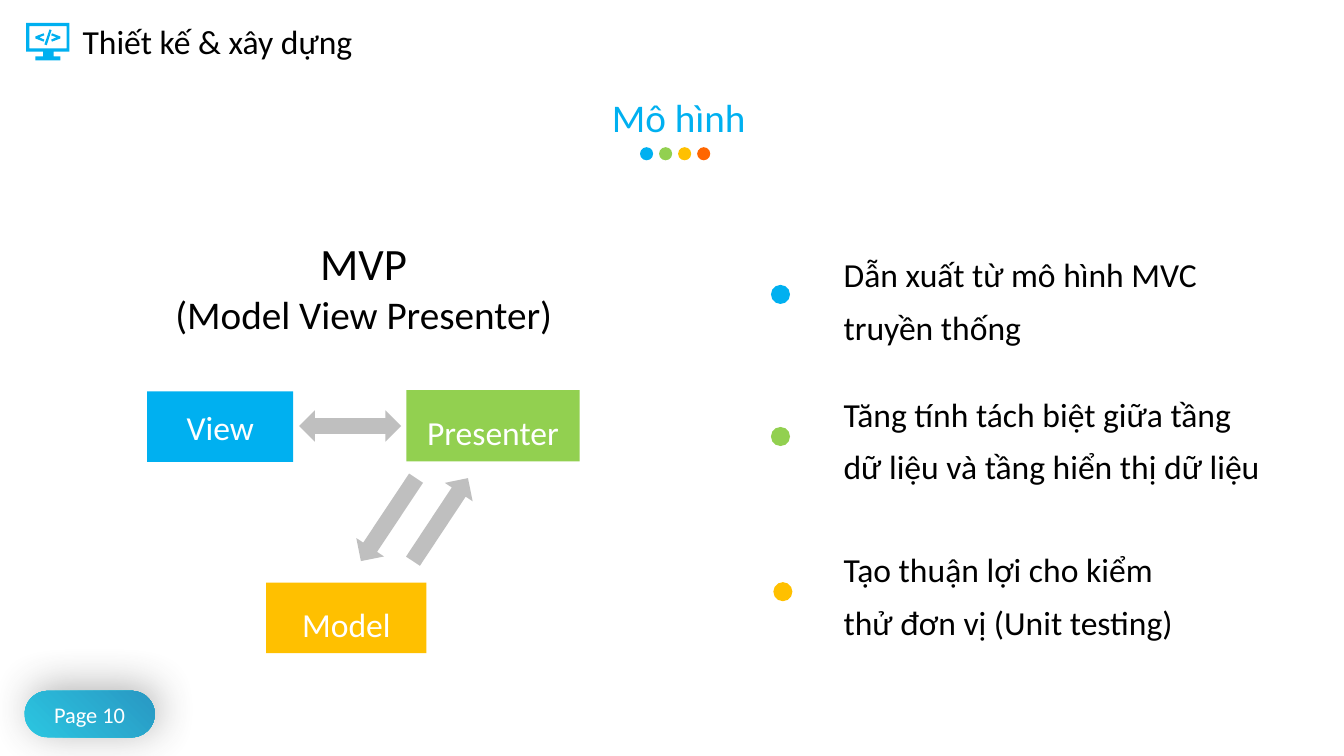
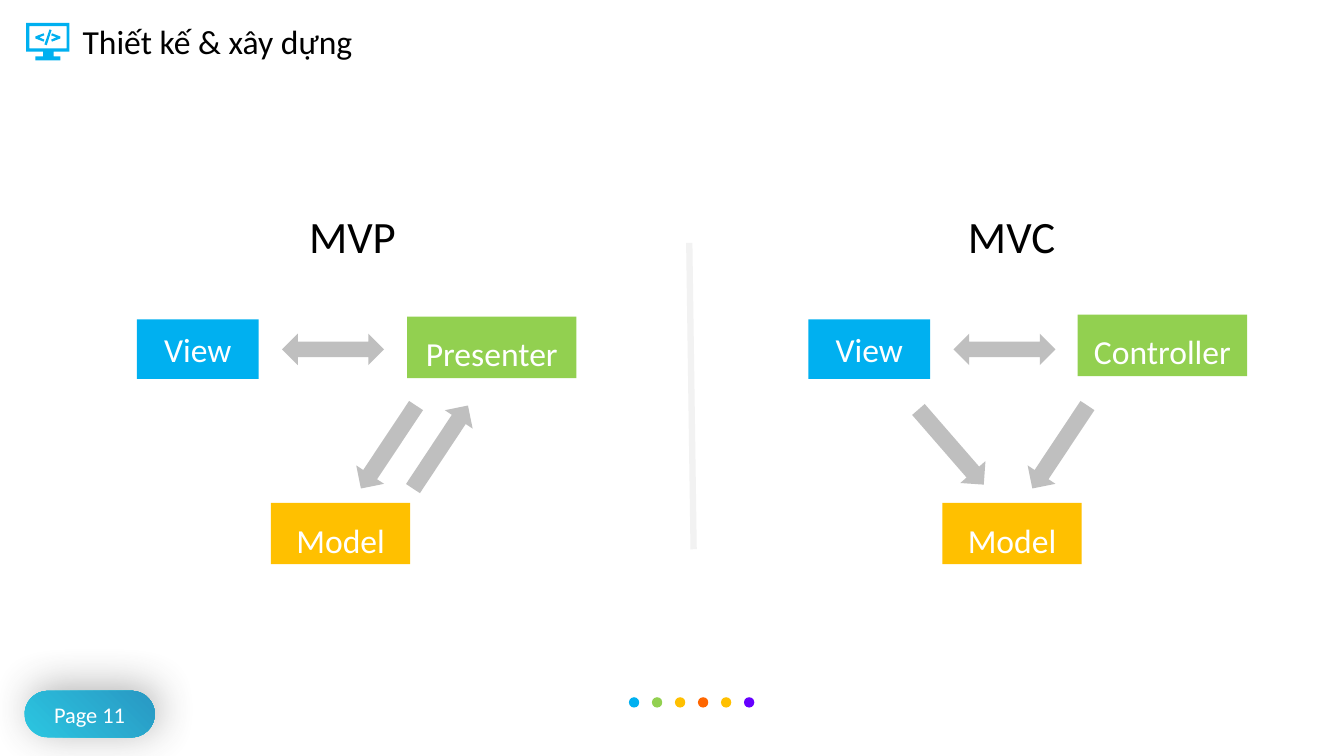
"""Build two slides on the MVP model and its comparison with MVC."""
from lxml.etree import SubElement
from pptx import Presentation
from pptx.dml.color import RGBColor
from pptx.enum.shapes import MSO_CONNECTOR, MSO_SHAPE
from pptx.enum.text import MSO_ANCHOR, MSO_AUTO_SIZE, PP_ALIGN
from pptx.oxml.ns import qn
from pptx.util import Cm, Pt

COLORS = {
    "blue": "00B0F0", "green": "92D050", "yellow": "FFC000", "orange": "FF6600",
    "purple": "6600FF", "arrow": "BFBFBF", "divider": "F2F2F2", "black": "000000",
    "white": "FFFFFF", "badge_start": "2BC6E1", "badge_end": "2998C3", "shadow": "404040",
}
RGB = {name: RGBColor.from_string(value) for name, value in COLORS.items()}
FONT = "Calibri"
PANEL_STEP = 16.92


def write(sp, lines, color="black", align=PP_ALIGN.CENTER, spacing=1.0, inset=0.0,
          anchor=MSO_ANCHOR.MIDDLE):
    """Fill a shape with (text, size) paragraphs."""
    tf = sp.text_frame
    tf.word_wrap = True
    tf.auto_size = MSO_AUTO_SIZE.NONE
    tf.vertical_anchor = anchor
    tf.margin_left = tf.margin_right = tf.margin_top = tf.margin_bottom = Cm(inset)
    tf.text = "\n".join(text for text, size in lines)
    for p, (text, size) in zip(tf.paragraphs, lines):
        p.alignment = align
        p.line_spacing = spacing
        p.space_before = p.space_after = Pt(0)
        for r in p.runs:
            r.font.name = FONT
            r.font.size = Pt(size)
            r.font.color.rgb = RGB[color]


def add_block(s, kind, box, color, rotation=0):
    """Add a flat preset shape placed in centimetres."""
    sp = s.shapes.add_shape(kind, *[Cm(v) for v in box])
    sp.shadow.inherit = False
    sp.fill.solid()
    sp.fill.fore_color.rgb = RGB[color]
    sp.line.fill.background()
    sp.rotation = rotation
    return sp


prs = Presentation()
prs.slide_width, prs.slide_height = Cm(33.87), Cm(19.05)
model_slide = prs.slides.add_slide(prs.slide_layouts[1])
compare_slide = prs.slides.add_slide(prs.slide_layouts[5])

icon_contours = [
    [(66, 58), (175, 58), (175, 130), (135, 130), (135, 142), (152, 142),
     (152, 152), (89, 152), (89, 142), (109, 142), (109, 130), (66, 130)],
    [(74, 66), (74, 122), (168, 122), (168, 66)],
    [(125, 74), (130, 76), (118, 114), (112, 112)],
]
chevron = [(110, 84), (89, 92), (89, 97), (110, 105), (112, 100), (99, 94), (112, 89)]
icon_contours += [chevron, [(241 - x, y) for x, y in chevron]]

for s, page in ((model_slide, 10), (compare_slide, 11)):
    title = s.shapes.title
    title.left, title.top, title.width, title.height = Cm(2.08), Cm(0.43), Cm(7.2), Cm(1.12)
    write(title, [("Thiết kế & xây dựng", 24)], align=PP_ALIGN.LEFT, spacing=1.1)

    builder = s.shapes.build_freeform(*icon_contours[0][0], scale=Cm(0.01))
    builder.add_line_segments(icon_contours[0][1:])
    for contour in icon_contours[1:]:
        builder.move_to(*contour[0])
        builder.add_line_segments(contour[1:])
    icon = builder.convert_to_shape()
    icon.shadow.inherit = False
    icon.fill.solid()
    icon.fill.fore_color.rgb = RGB["blue"]
    icon.line.fill.background()

    badge = add_block(s, MSO_SHAPE.ROUNDED_RECTANGLE, (0.62, 17.41, 3.28, 1.17), "badge_start")
    badge.adjustments[0] = 0.5
    badge.fill.gradient()
    badge.fill.gradient_angle = 45
    for stop, name in zip(badge.fill.gradient_stops, ("badge_start", "badge_end")):
        stop.color.rgb = RGB[name]
    effects = badge.element.spPr.find(qn("a:effectLst"))
    shadow = SubElement(effects, qn("a:outerShdw"), blurRad=str(Pt(30)), dist=str(Pt(5)),
                        dir=str(315 * 60000), algn="ctr", rotWithShape="0")
    shade = SubElement(shadow, qn("a:srgbClr"), val=COLORS["shadow"])
    SubElement(shade, qn("a:alpha"), val="40000")
    write(badge, [(f"Page {page}", 16)], "white")

headings = [
    (model_slide, (3.73, 5.82, 10.87, 2.82), [("MVP", 32), ("(Model View Presenter)", 28)]),
    (compare_slide, (6.83, 5.13, 4.11, 1.63), [("MVP", 32)]),
    (compare_slide, (23.44, 5.13, 4.11, 1.63), [("MVC", 32)]),
]
for s, box, lines in headings:
    heading = s.shapes.add_textbox(*[Cm(v) for v in box])
    write(heading, lines, inset=0.13, anchor=MSO_ANCHOR.TOP)

down, up, view_down = (9.37, 33.6), (10.68, 213.5), (6.63, 319)
diagrams = [
    (model_slide, 0, "Presenter", (3.71, 9.86, 3.68, 1.78), (10.24, 9.83, 4.37, 1.8),
     (6.71, 14.68, 4.04, 1.78), (7.54, 10.34), 11.84, (down, up)),
    (compare_slide, 0, "Presenter", (3.45, 8.05, 3.07, 1.5), (10.26, 7.98, 4.27, 1.55),
     (6.83, 12.67, 3.51, 1.55), (7.11, 8.41), 10.01, (down, up)),
    (compare_slide, PANEL_STEP, "Controller", (3.45, 8.05, 3.07, 1.5),
     (10.24, 7.93, 4.27, 1.55), (6.83, 12.67, 3.51, 1.55), (7.11, 8.41), 10.01,
     (down, view_down)),
]
for s, dx, middle, view, logic, model, link, arrow_top, arrows in diagrams:
    for text, color, (x, y, w, h), spacing in (("View", "blue", view, 1.0),
                                               (middle, "green", logic, 1.3),
                                               ("Model", "yellow", model, 1.3)):
        sp = add_block(s, MSO_SHAPE.RECTANGLE, (x + dx, y, w, h), color)
        write(sp, [(text, 24)], "white", spacing=spacing, inset=0.13)
    add_block(s, MSO_SHAPE.LEFT_RIGHT_ARROW, (link[0] + dx, link[1], 2.57, 0.79), "arrow")
    for x, rotation in arrows:
        add_block(s, MSO_SHAPE.DOWN_ARROW, (x + dx, arrow_top, 0.84, 2.51), "arrow", rotation)

body = model_slide.placeholders[1]
body.left, body.top, body.width, body.height = Cm(21.26), Cm(6.1), Cm(10.8), Cm(10.2)
points = ["Dẫn xuất từ mô hình MVC truyền thống",
          "Tăng tính tách biệt giữa tầng dữ liệu và tầng hiển thị dữ liệu",
          "Tạo thuận lợi cho kiểm\vthử đơn vị (Unit testing)"]
write(body, [(text, 24) for text in points], align=PP_ALIGN.LEFT, spacing=1.3,
      anchor=MSO_ANCHOR.TOP)
for p, gap in zip(body.text_frame.paragraphs, (0, 25, 36)):
    p.space_before = Pt(gap)
    pPr = p._p.get_or_add_pPr()
    pPr.set("marL", "0")
    pPr.set("indent", "0")
    SubElement(pPr, qn("a:buNone"))
for x, y, color in ((19.43, 7.18, "blue"), (19.43, 10.76, "green"), (19.49, 14.67, "yellow")):
    add_block(model_slide, MSO_SHAPE.OVAL, (x, y, 0.48, 0.48), color)

subtitle = model_slide.shapes.add_textbox(Cm(15.42), Cm(2.26), Cm(3.8), Cm(1.24))
write(subtitle, [("Mô hình", 28)], "blue", PP_ALIGN.LEFT, 1.1)

dot_rows = [
    (model_slide, 16.13, 3.71, 0.33, 0.48, ("blue", "green", "yellow", "orange")),
    (compare_slide, 15.85, 17.57, 0.26, 0.58,
     ("blue", "green", "yellow", "orange", "yellow", "purple")),
]
for s, left, top, size, step, names in dot_rows:
    for i, name in enumerate(names):
        add_block(s, MSO_SHAPE.OVAL, (left + i * step, top, size, size), name)

divider = compare_slide.shapes.add_connector(
    MSO_CONNECTOR.STRAIGHT, Cm(17.37), Cm(6.12), Cm(17.48), Cm(13.84))
divider.line.color.rgb = RGB["divider"]
divider.line.width = Pt(4.5)
SubElement(divider.element.spPr, qn("a:effectLst"))

prs.save("out.pptx")
